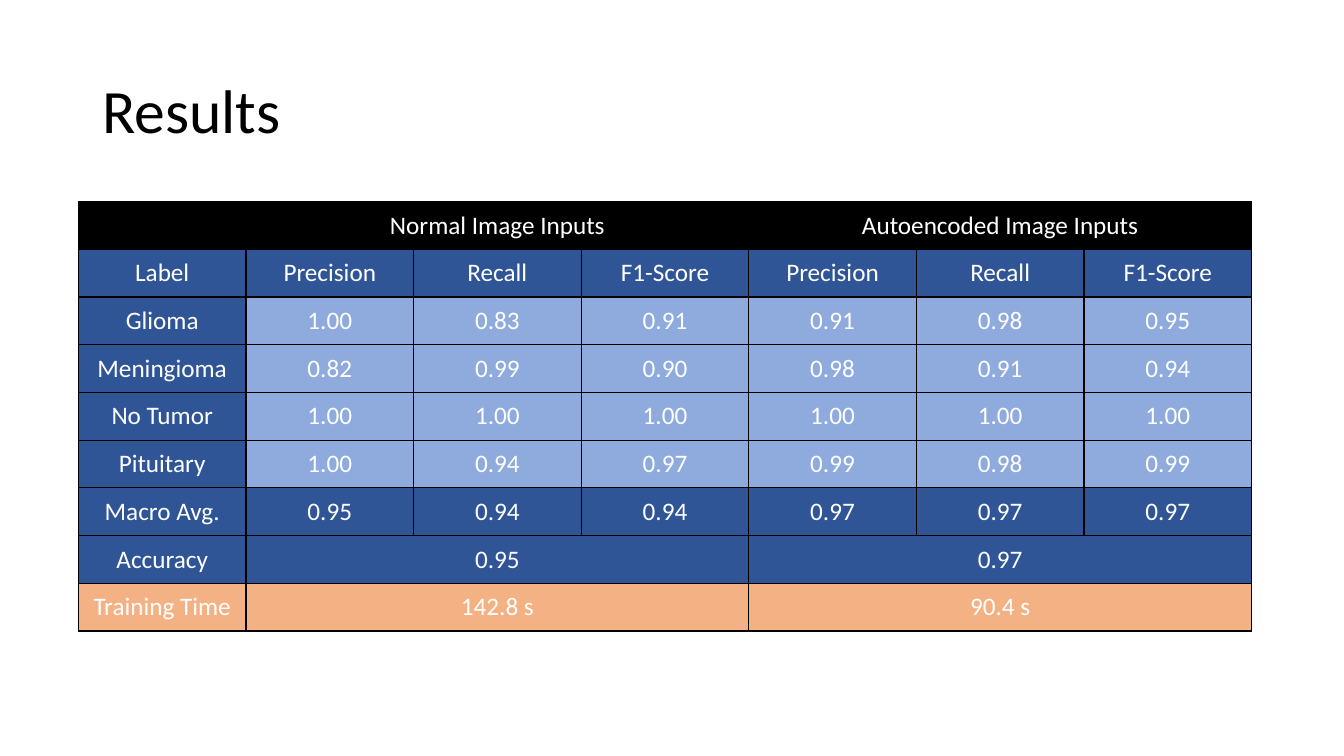
from lxml import etree
from pptx import Presentation
from pptx import util as u
from pptx.dml import color
from pptx.enum import text
from pptx.oxml import ns

Pt = u.Pt
FONT = "Calibri"
HUES = {
    "black": "000000",
    "white": "FFFFFF",
    "dark": "2F5597",
    "light": "8FAADC",
    "peach": "F4B183",
}
SCORES = ["Precision", "Recall", "F1-Score"]
GROUP = len(SCORES)

# Each row: label, then one value per column or one per group of columns
ROWS = [
    ["", "Normal Image Inputs", "Autoencoded Image Inputs"],
    ["Label"] + SCORES * 2,
    ["Glioma", "1.00", "0.83", "0.91", "0.91", "0.98", "0.95"],
    ["Meningioma", "0.82", "0.99", "0.90", "0.98", "0.91", "0.94"],
    ["No Tumor", "1.00", "1.00", "1.00", "1.00", "1.00", "1.00"],
    ["Pituitary", "1.00", "0.94", "0.97", "0.99", "0.98", "0.99"],
    ["Macro Avg.", "0.95", "0.94", "0.94", "0.97", "0.97", "0.97"],
    ["Accuracy", "0.95", "0.97"],
    ["Training Time", "142.8 s", "90.4 s"],
]
# Fill of the label cell and of the value cells in each row
FILLS = (
    [("black", "black"), ("dark", "dark")]
    + [("dark", "light")] * 4
    + [("dark", "dark")] * 2
    + [("peach", "peach")]
)


def rgb(name):
    return color.RGBColor.from_string(HUES[name])


def style(para, size, hue):
    for run in para.runs:
        run.font.name = FONT
        run.font.size = Pt(size)
        run.font.color.rgb = rgb(hue)


def edge(cell, width=1):
    props = cell._tc.get_or_add_tcPr()
    for side in ("lnL", "lnR", "lnT", "lnB"):
        line = etree.SubElement(props, ns.qn("a:" + side), w=str(Pt(width)))
        fill = etree.SubElement(line, ns.qn("a:solidFill"))
        etree.SubElement(fill, ns.qn("a:srgbClr"), val=HUES["black"])


def paint(cell, hue):
    edge(cell)
    cell.fill.solid()
    cell.fill.fore_color.rgb = rgb(hue)
    cell.vertical_anchor = text.MSO_ANCHOR.MIDDLE


def write(cell, words):
    cell.text_frame.text = words
    para = cell.text_frame.paragraphs[0]
    para.alignment = text.PP_ALIGN.CENTER
    style(para, 18, "white")


def add_title(slide, words, left, top, width, height):
    frame = slide.shapes.add_textbox(
        Pt(left), Pt(top), Pt(width), Pt(height)).text_frame
    frame.word_wrap = True
    frame.vertical_anchor = text.MSO_ANCHOR.MIDDLE
    frame.text = words
    para = frame.paragraphs[0]
    para.line_spacing = 0.9
    style(para, 44, "black")


def add_scores(slide, left, top, width, height):
    cols = 1 + 2 * GROUP
    table = slide.shapes.add_table(
        len(ROWS), cols, Pt(left), Pt(top), Pt(width), Pt(height)).table
    for col in table.columns:
        col.width = Pt(width / cols)
    for row in table.rows:
        row.height = Pt(height / len(ROWS))

    for r, (row, (first, rest)) in enumerate(zip(ROWS, FILLS)):
        for c in range(cols):
            paint(table.cell(r, c), rest if c else first)
        # Short rows hold one merged cell per group
        span = (cols - 1) // (len(row) - 1)
        for i, words in enumerate(row):
            c = 1 + (i - 1) * span if i else 0
            cell = table.cell(r, c)
            if i and span > 1:
                cell.merge(table.cell(r, c + span - 1))
            if words:
                write(cell, words)


def main():
    deck = Presentation()
    deck.slide_width, deck.slide_height = Pt(960), Pt(540)
    slide = deck.slides.add_slide(deck.slide_layouts[6])

    # Heading
    add_title(slide, "Results", 66, 28.75, 828, 104.4)
    # Results table
    add_scores(slide, 56, 144, 838, 306.9)

    deck.save("out.pptx")


if __name__ == "__main__":
    main()
